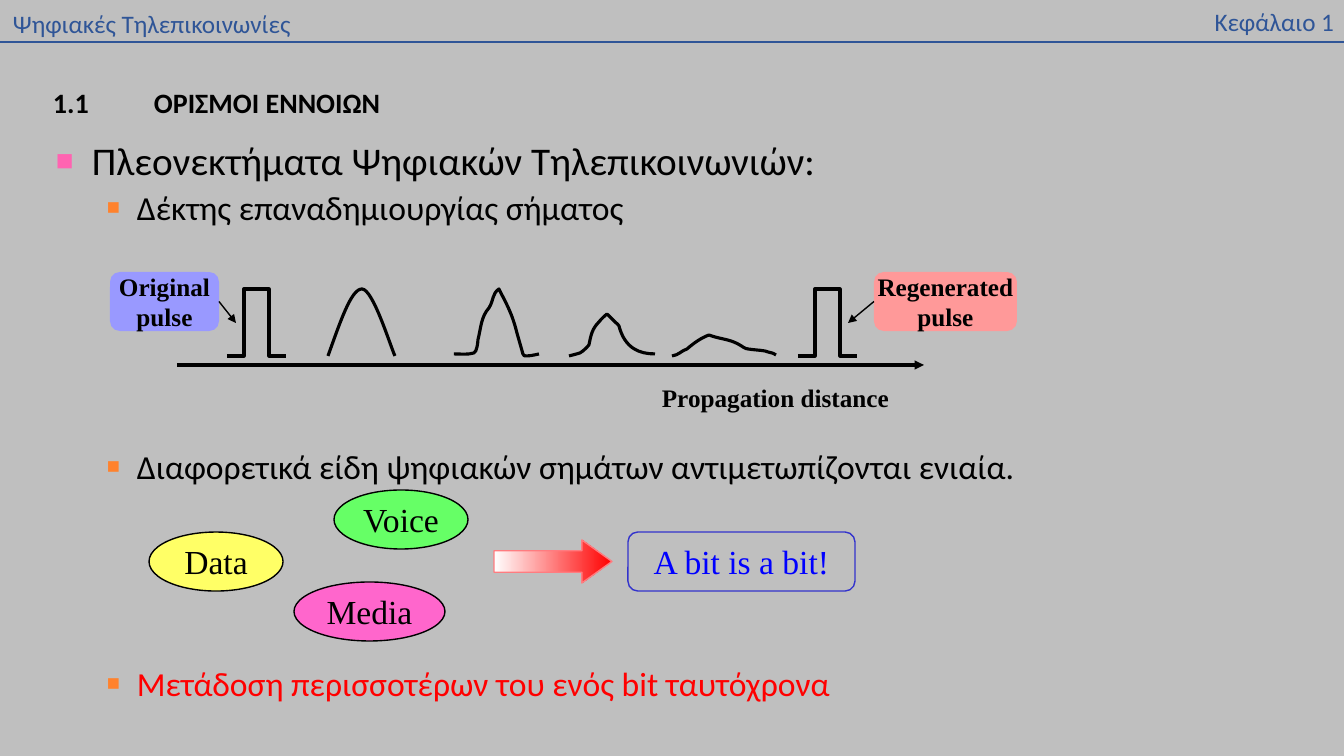
from lxml import etree
from pptx import Presentation
from pptx.dml.color import RGBColor
from pptx.enum.shapes import MSO_CONNECTOR, MSO_SHAPE
from pptx.enum.text import MSO_ANCHOR, PP_ALIGN
from pptx.oxml.ns import qn
from pptx.util import Pt

WIDE, HIGH = 1344, 756
SCALE = 12192000 / WIDE
OVAL, ROUND, ARROW = MSO_SHAPE.OVAL, MSO_SHAPE.ROUNDED_RECTANGLE, MSO_SHAPE.RIGHT_ARROW
LINE = MSO_CONNECTOR.STRAIGHT
MIDDLE = MSO_ANCHOR.MIDDLE
LEFT, CENTER, RIGHT, JUST = PP_ALIGN.LEFT, PP_ALIGN.CENTER, PP_ALIGN.RIGHT, PP_ALIGN.JUSTIFY
SANS, SERIF = "Calibri", "Times New Roman"
COLORS = {
    "back": "BFBFBF", "black": "000000", "white": "FFFFFF", "head": "2F5597",
    "red": "FF0000", "rose": "FF7C80", "blue": "0000FF", "navy": "3333CC",
    "yellow": "FFFF66", "green": "66FF66", "pink": "FF66CC",
    "lilac": "9999FF", "coral": "FF9999", "mark": "FF63B1", "submark": "FF822D",
}

# Pulse tops and feet share two heights
TOP, BASE = 289, 356
STEP = [(0, BASE), (17, BASE), (17, TOP), (42, TOP), (42, BASE), (59, BASE)]
STEP_LEFTS = (227, 798)
# Each curve: a start point, then three Bézier points per piece
CURVES = [
    [(328, BASE), (340, 323), (351, TOP), (362, TOP), (373, TOP), (390, 345), (395, BASE)],
    [(454, 354), (461, 354), (468, 355), (474, 353), (477, 352), (478, 342), (478, 340),
     (481, 328), (481, 317), (489, 308), (494, 300), (492, 294), (499, TOP),
     (507, 305), (512, 313), (517, 333), (519, 340), (521, 347), (523, 354),
     (523, BASE), (525, BASE), (527, BASE), (531, BASE), (539, 354), (539, 354)],
    [(569, BASE), (573, 355), (577, 354), (580, 353), (584, 351), (589, 345), (589, 345),
     (591, 335), (592, 329), (599, 322), (601, 319), (607, 314), (607, 314),
     (610, 317), (612, 319), (615, 322), (617, 323), (619, 326), (619, 326),
     (625, 349), (640, 354), (655, 354)],
    [(672, BASE), (679, 355), (681, 351), (687, 349), (694, 343), (701, 338), (709, 335),
     (719, 339), (729, 339), (738, 344), (742, 346), (745, 349), (748, 349),
     (754, 350), (759, 350), (765, 351), (774, 354), (771, 352), (776, 355)],
]
# Text, level, space before in points, colour
POINTS = [
    ("Πλεονεκτήματα Ψηφιακών Τηλεπικοινωνιών:", 0, 0, "black"),
    ("Δέκτης επαναδημιουργίας σήματος", 1, 5, "black"),
    ("Διαφορετικά είδη ψηφιακών σημάτων αντιμετωπίζονται ενιαία.", 1, 159, "black"),
    ("Μετάδοση περισσοτέρων του ενός bit ταυτόχρονα", 1, 129, "red"),
]
# Per level: left margin, hanging indent, size, bullet colour, bullet percent
LEVELS = [(36, 36, 28, "mark", 75), (81, 30, 24, "submark", 65)]
SIGNALS = [
    ("Data", (149, 532, 134, 59), "yellow"),
    ("Voice", (334, 490, 134, 59), "green"),
    ("Media", (294, 582, 151, 59), "pink"),
]


def px(num):
    return round(num * SCALE)


def rgb(name):
    return RGBColor.from_string(COLORS[name])


def style(para, font, size, color, bold=False):
    para.font.name = font
    para.font.size = Pt(size)
    para.font.color.rgb = rgb(color)
    para.font.bold = bold


def pen(item, color, width):
    item.line.color.rgb = rgb(color)
    item.line.width = Pt(width)


def add_text(slide, text, area, font, size, color, align=LEFT, bold=False, wrap=True, tab=0):
    frame = slide.shapes.add_textbox(*map(px, area)).text_frame
    frame.word_wrap = wrap
    para = frame.paragraphs[0]
    para.text = text
    para.alignment = align
    if tab:
        tabs = etree.SubElement(para._p.get_or_add_pPr(), qn("a:tabLst"))
        etree.SubElement(tabs, qn("a:tab"), pos=str(px(tab)), algn="l")
    style(para, font, size, color, bold)
    return para


def add_bullet(para, color, percent):
    props = para._p.get_or_add_pPr()
    tint = etree.SubElement(props, qn("a:buClr"))
    etree.SubElement(tint, qn("a:srgbClr"), val=COLORS[color])
    etree.SubElement(props, qn("a:buSzPct"), val=str(percent * 1000))
    etree.SubElement(props, qn("a:buFont"), typeface=SERIF)
    etree.SubElement(props, qn("a:buChar"), char="■")


def add_points(slide):
    frame = slide.shapes.add_textbox(*map(px, (46, 137, 1043, 588))).text_frame
    frame.word_wrap = True
    for num, (text, level, space, color) in enumerate(POINTS):
        para = frame.add_paragraph() if num else frame.paragraphs[0]
        left, hang, size, mark, percent = LEVELS[level]
        para.text = text
        para.level = level
        props = para._p.get_or_add_pPr()
        props.set("marL", str(px(left)))
        props.set("indent", str(-px(hang)))
        add_bullet(para, mark, percent)
        para.line_spacing = 0.9
        para.space_before = Pt(space)
        style(para, SANS, size, color)


def add_box(slide, kind, area, lines=(), fill=None, edge=None, size=24, ink="black", bold=False):
    """Add a preset shape with one centred paragraph for each of its lines."""
    box = slide.shapes.add_shape(kind, *map(px, area))
    box.shadow.inherit = False
    if fill:
        box.fill.solid()
        box.fill.fore_color.rgb = rgb(fill)
    else:
        box.fill.background()
    if edge:
        pen(box, edge, 1)
    else:
        box.line.fill.background()
    frame = box.text_frame
    frame.word_wrap = False
    frame.vertical_anchor = MIDDLE
    for num, text in enumerate(lines):
        para = frame.add_paragraph() if num else frame.paragraphs[0]
        para.text = text
        para.alignment = CENTER
        style(para, SERIF, size, ink, bold)
    return box


def add_line(slide, start, end, color, width, head=True):
    line = slide.shapes.add_connector(LINE, *map(px, start + end))
    pen(line, color, width)
    if head:
        etree.SubElement(line.line._get_or_add_ln(), qn("a:tailEnd"), type="triangle")
    etree.SubElement(line._element.spPr, qn("a:effectLst"))
    return line


def add_pulse(slide, dots):
    spots = [(px(x), px(y)) for x, y in dots]
    form = slide.shapes.build_freeform(*spots[0])
    form.add_line_segments(spots[1:], close=False)
    pulse = form.convert_to_shape()
    pulse.shadow.inherit = False
    pulse.fill.background()
    pen(pulse, "black", 2.25)
    return pulse


def bend(pulse):
    """Join every three straight segments into one cubic Bézier piece."""
    route = next(pulse._element.iter(qn("a:path")))
    legs = route.findall(qn("a:lnTo"))
    for first in range(0, len(legs), 3):
        curve = etree.SubElement(route, qn("a:cubicBezTo"))
        for leg in legs[first:first + 3]:
            curve.append(leg[0])
            route.remove(leg)


def add_label(slide, word, area, fill, site, tip):
    """Add a pulse label with an arrow from its side to the tip."""
    box = add_box(slide, ROUND, area, (word, "pulse"), fill, size=18, bold=True)
    line = add_line(slide, tip, tip, "black", 1)
    line.begin_connect(box, site)


def add_flow(slide):
    arrow = add_box(slide, ARROW, (494, 540, 118, 43), edge="rose")
    arrow.adjustments[1] = 0.7
    arrow.fill.gradient()
    arrow.fill.gradient_angle = 180
    for stop, color in zip(arrow.fill.gradient_stops, ("red", "white")):
        stop.color.rgb = rgb(color)


def main():
    deck = Presentation()
    deck.slide_width, deck.slide_height = px(WIDE), px(HIGH)
    slide = deck.slides.add_slide(deck.slide_layouts[6])
    slide.background.fill.solid()
    slide.background.fill.fore_color.rgb = rgb("back")

    title = add_text(slide, "1.1\tΟΡΙΣΜΟΙ ΕΝΝΟΙΩΝ", (43, 84, 822, 40), SANS, 20, "black",
                     JUST, True, tab=101)
    title.line_spacing = 0.9
    add_text(slide, "Ψηφιακές Τηλεπικοινωνίες", (3, 3, 301, 40), SANS, 18, "head", wrap=False)
    add_text(slide, "Κεφάλαιο 1", (956, 1, 388, 40), SANS, 18, "head", RIGHT)
    add_line(slide, (0, 42), (WIDE, 42), "head", 1.5, head=False)
    add_points(slide)

    for word, area, fill in SIGNALS:
        add_box(slide, OVAL, area, (word,), fill, "black")
    add_flow(slide)
    add_box(slide, ROUND, (628, 532, 227, 59), ("A bit is a bit!",), edge="navy", ink="blue")

    add_line(slide, (177, 365), (924, 365), "black", 2.25)
    for left in STEP_LEFTS:
        add_pulse(slide, [(left + x, y) for x, y in STEP])
    for nodes in CURVES:
        bend(add_pulse(slide, nodes))
    add_text(slide, "Propagation distance", (652, 377, 248, 40), SERIF, 18, "black",
             bold=True, wrap=False)
    add_label(slide, "Original", (110, 272, 109, 59), "lilac", 3, (236, 323))
    add_label(slide, "Regenerated", (874, 272, 143, 59), "coral", 1, (848, 323))
    deck.save("out.pptx")


if __name__ == "__main__":
    main()
